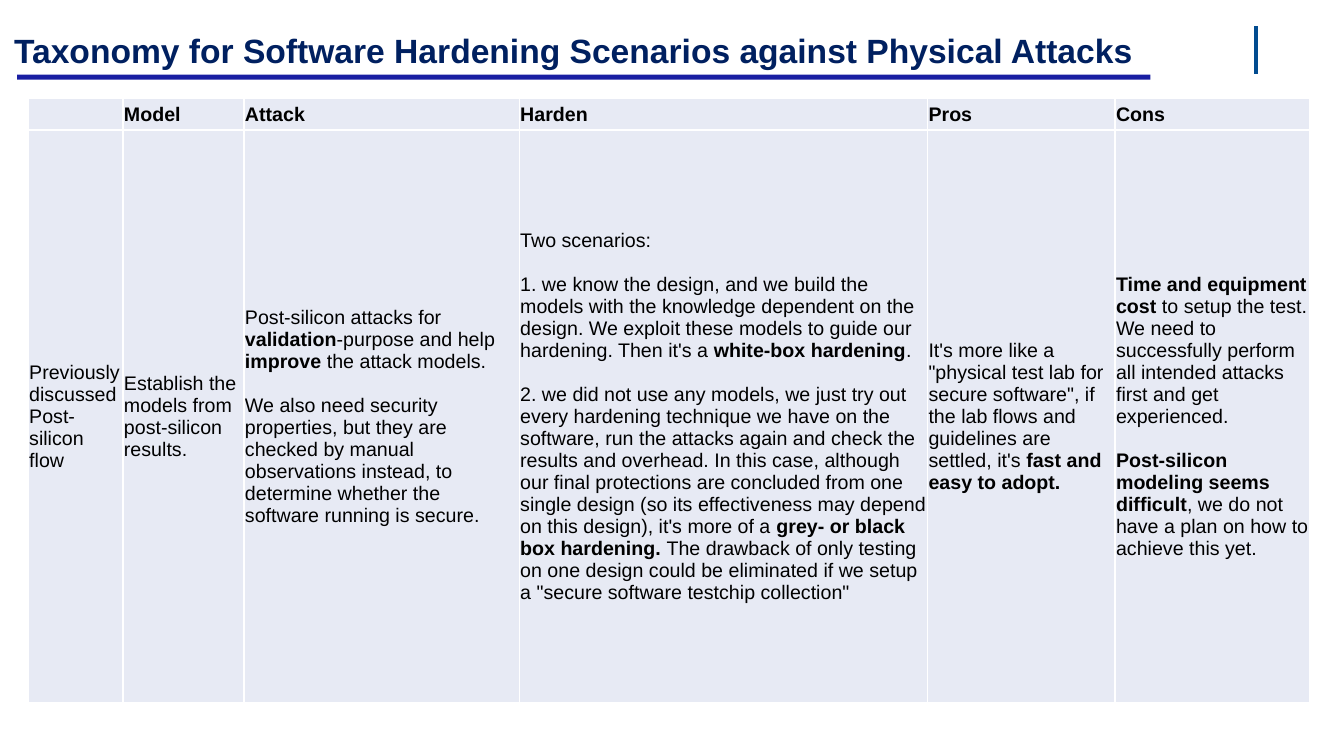
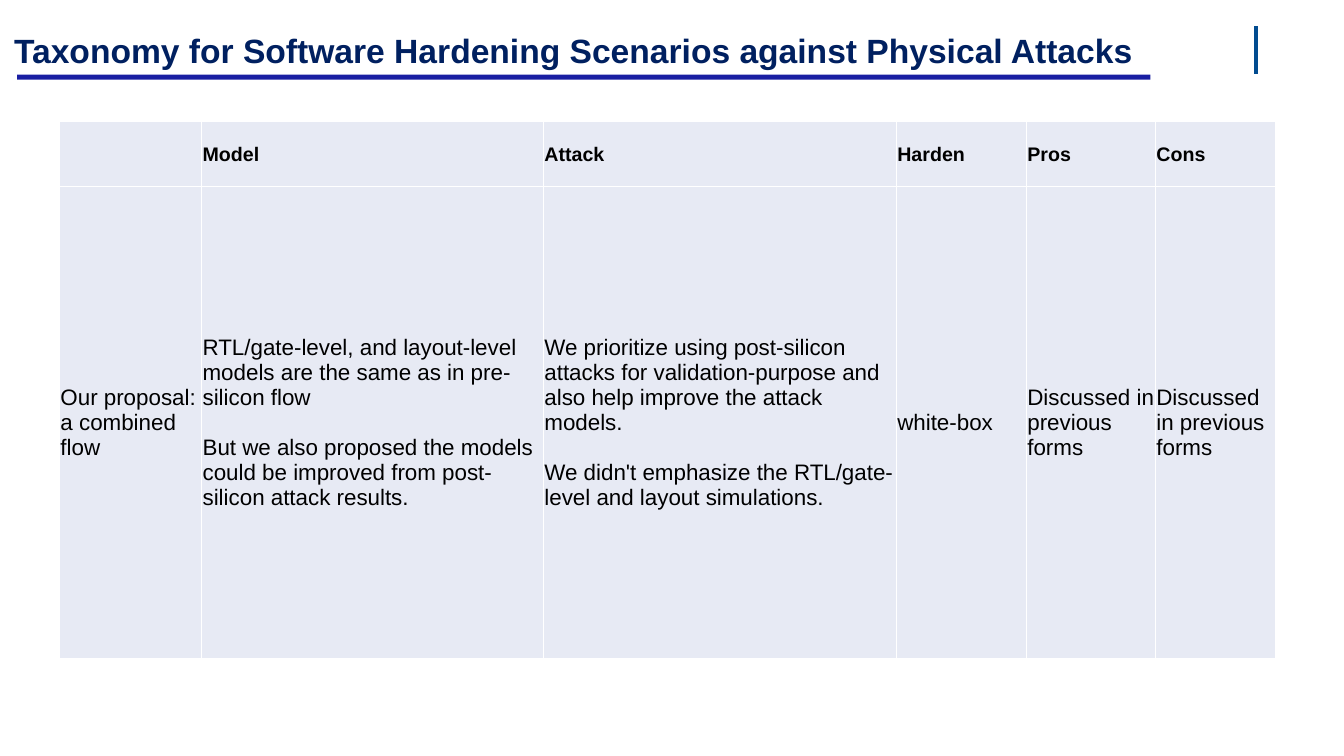
from pptx import Presentation
from pptx.dml.color import RGBColor
from pptx.enum.shapes import MSO_CONNECTOR as Conn, MSO_SHAPE as Shape
from pptx.enum.text import MSO_ANCHOR as Anchor
from pptx.oxml.ns import qn
from pptx.util import Inches, Pt
from lxml.etree import SubElement as sub

NAVY = RGBColor(0x00, 0x20, 0x60)
BAR = RGBColor(0x19, 0x1E, 0xA2)
BLUE = RGBColor(0x02, 0x4C, 0x90)
PALE = RGBColor(0xE7, 0xEA, 0xF4)
BLACK = RGBColor(0, 0, 0)
WHITE = RGBColor(0xFF, 0xFF, 0xFF)
FONT = "Arial"
TITLE = "Taxonomy for Software Hardening Scenarios against Physical Attacks"
HEADS = ["", "Model", "Attack", "Harden", "Pros", "Cons"]

# Each cell is a list of paragraphs; ** switches bold on and off.
POST = [
    ["Previously discussed Post-silicon flow"],
    ["Establish the models from post-silicon results."],
    ["Post-silicon attacks for **validation**-purpose and help **improve** "
     "the attack models.",
     "We also need security properties, but they are checked by manual "
     "observations instead, to determine whether the software running is "
     "secure."],
    ["Two scenarios:",
     "1. we know the design, and we build the models with the knowledge "
     "dependent on the design. We exploit these models to guide our "
     "hardening. Then it's a **white-box hardening**.",
     "2. we did not use any models, we just try out every hardening "
     "technique we have on the software, run the attacks again and check "
     "the results and overhead. In this case, although our final "
     "protections are concluded from one single design (so its "
     "effectiveness may depend on this design), it's more of a **grey- or "
     "black box hardening. **The drawback of only testing on one design "
     "could be eliminated if we setup a \"secure software testchip "
     "collection\""],
    ["It's more like a \"physical test lab for secure software\", if the "
     "lab flows and guidelines are settled, it's **fast and easy to "
     "adopt.**"],
    ["**Time and equipment cost **to setup the test. We need to "
     "successfully perform all intended attacks first and get experienced.",
     "**Post-silicon modeling seems difficult**, we do not have a plan on "
     "how to achieve this yet."],
]
MIXED = [
    ["Our proposal: a combined flow"],
    ["RTL/gate-level, and layout-level models are the same as in "
     "pre-silicon flow",
     "But we also proposed the models could be improved from post-silicon "
     "attack results."],
    ["We prioritize using post-silicon attacks for validation-purpose and "
     "also help improve the attack models.",
     "We didn't emphasize the RTL/gate-level and layout simulations."],
    ["white-box"],
    ["Discussed in previous forms"],
    ["Discussed in previous forms"],
]


def style(run, size, color, bold):
    font = run.font
    font.name, font.size, font.bold = FONT, Pt(size), bold
    font.color.rgb = color


def add_frame(slide):
    """Draw the title, its underline and the upright rule."""
    bar = slide.shapes.add_shape(Shape.RECTANGLE, Inches(0.17), Inches(0.74),
                                 Inches(11.24), Inches(0.05))
    bar.shadow.inherit = False
    bar.fill.solid()
    bar.fill.fore_color.rgb = BAR
    bar.line.fill.background()

    rule = slide.shapes.add_connector(Conn.STRAIGHT, Inches(12.46),
                                      Inches(0.26), Inches(12.46),
                                      Inches(0.73))
    rule.line.color.rgb = BLUE
    rule.line.width = Pt(3)
    sub(rule._element.spPr, qn("a:effectLst"))

    box = slide.shapes.add_textbox(0, Inches(0.01), Inches(11.83),
                                   Inches(0.97))
    frame = box.text_frame
    frame.word_wrap = True
    frame.vertical_anchor = Anchor.MIDDLE
    frame.margin_left = frame.margin_right = Inches(0.14)
    frame.margin_top = frame.margin_bottom = Inches(0.14)
    frame.text = TITLE
    style(frame.paragraphs[0].runs[0], 24, NAVY, True)


def add_edges(cell):
    """Give the cell thin white borders; call before filling it."""
    props = cell._tc.get_or_add_tcPr()
    for side in "LRTB":
        edge = sub(props, qn(f"a:ln{side}"), w=str(Pt(1)))
        fill = sub(edge, qn("a:solidFill"))
        sub(fill, qn("a:srgbClr"), val=str(WHITE))


def fill_cell(cell, paras, size):
    add_edges(cell)
    cell.fill.solid()
    cell.fill.fore_color.rgb = PALE
    cell.vertical_anchor = Anchor.MIDDLE
    cell.margin_left = cell.margin_right = cell.margin_top = Inches(0.01)
    cell.margin_bottom = 0
    frame = cell.text_frame
    for i, text in enumerate(paras):
        para = frame.add_paragraph() if i else frame.paragraphs[0]
        if i:
            para.space_before = Pt(size * 1.125)
        for j, part in enumerate(text.split("**")):
            if part:
                run = para.add_run()
                run.text = part
                style(run, size, BLACK, j % 2 == 1)


def add_grid(slide, left, top, cols, rows, body, size):
    shape = slide.shapes.add_table(len(rows), len(cols), Inches(left),
                                   Inches(top), Inches(sum(cols)),
                                   Inches(sum(rows)))
    table = shape.table
    table.horz_banding = table.first_row = False
    for col, width in zip(table.columns, cols):
        col.width = Inches(width)
    for row, height in zip(table.rows, rows):
        row.height = Inches(height)
    for i, (head, paras) in enumerate(zip(HEADS, body)):
        fill_cell(table.cell(0, i), [f"**{head}**"], 14)
        fill_cell(table.cell(1, i), paras, size)


def main():
    deck = Presentation()
    deck.slide_width, deck.slide_height = Inches(13.33), Inches(7.5)
    grids = [
        (0.28, 0.98, [0.94, 1.2, 2.73, 4.05, 1.86, 1.93], [0.3, 5.68],
         POST, 14),
        (0.59, 1.2, [1.41, 3.39, 3.5, 1.29, 1.28, 1.19], [0.65, 4.68],
         MIXED, 16),
    ]
    for grid in grids:
        slide = deck.slides.add_slide(deck.slide_layouts[6])
        add_frame(slide)
        add_grid(slide, *grid)
    deck.save("out.pptx")


if __name__ == "__main__":
    main()
